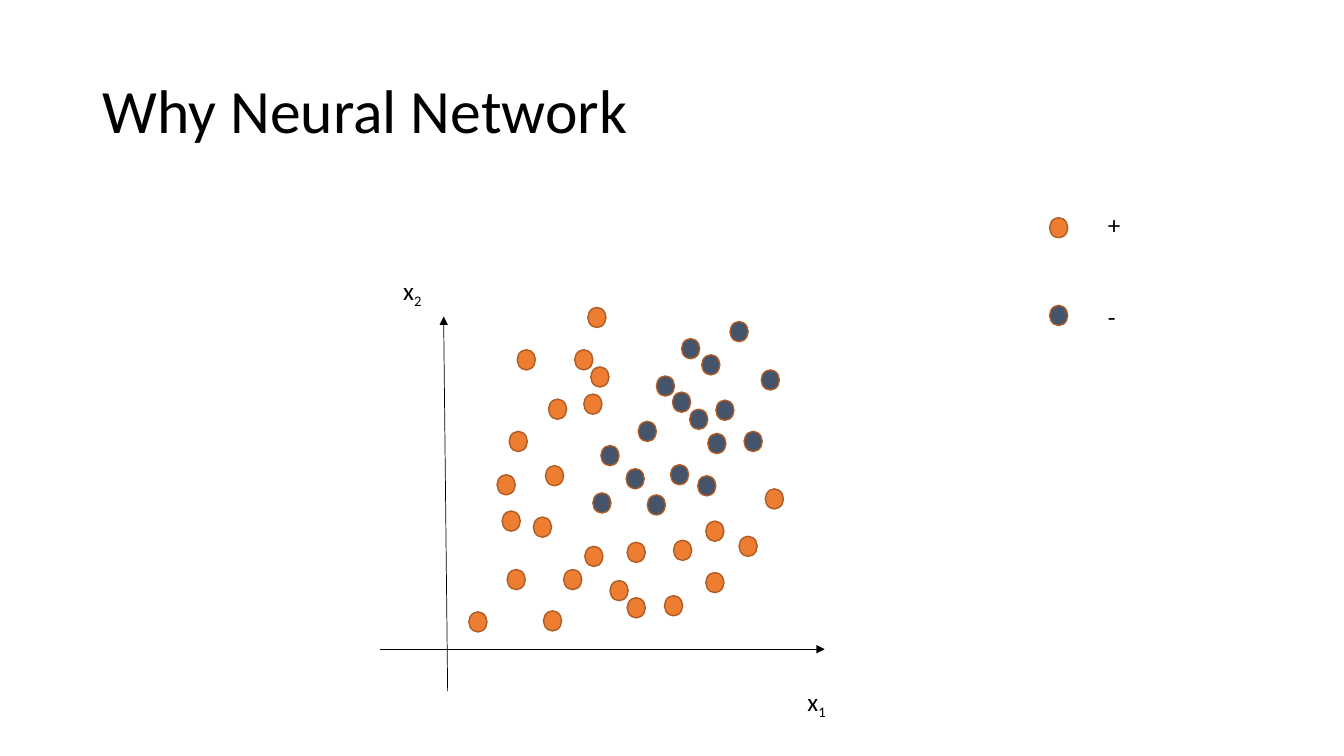
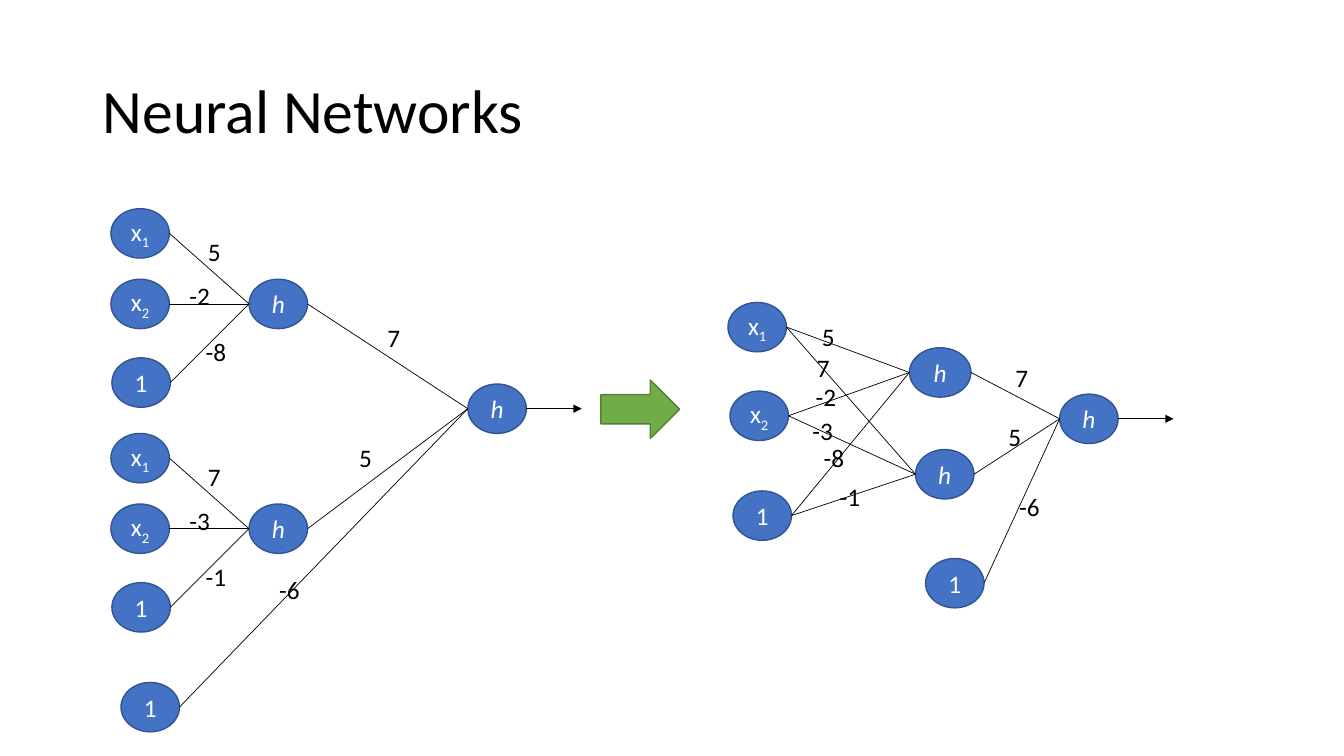
"""Build two slides on why neural networks are needed and how they are wired."""
from lxml.etree import SubElement
from pptx import Presentation
from pptx.dml.color import RGBColor
from pptx.enum.shapes import MSO_CONNECTOR, MSO_SHAPE
from pptx.enum.text import MSO_ANCHOR, MSO_AUTO_SIZE, PP_ALIGN
from pptx.oxml.ns import qn
from pptx.util import Inches, Pt

BLACK = RGBColor(0x00, 0x00, 0x00)
WHITE = RGBColor(0xFF, 0xFF, 0xFF)
ORANGE = RGBColor(0xED, 0x7D, 0x31)
RUST = RGBColor(0xAF, 0x5C, 0x24)
SLATE = RGBColor(0x44, 0x54, 0x6A)
BLUE = RGBColor(0x44, 0x72, 0xC4)
NAVY = RGBColor(0x32, 0x54, 0x91)
GREEN = RGBColor(0x70, 0xAD, 0x47)
FOREST = RGBColor(0x53, 0x80, 0x35)

TITLE = {"name": "Calibri", "size": Pt(44)}
BODY = {"name": "Calibri", "size": Pt(18)}

DOT_W, DOT_H = 0.18, 0.2
POSITIVE = [
    (5.83, 3.05), (5.13, 3.47), (5.79, 3.91), (5.44, 3.96), (5.7, 3.47),
    (5.05, 4.28), (5.41, 4.62), (4.98, 5.07), (4.93, 4.71), (5.86, 3.64),
    (5.29, 5.13), (5.03, 5.65), (5.8, 5.42), (6.22, 5.38), (6.05, 5.76),
    (6.68, 5.36), (6.59, 5.91), (7, 5.17), (7, 5.68), (7.33, 5.32),
    (7.59, 4.85), (5.59, 5.65), (5.39, 6.06), (4.65, 6.07), (6.22, 5.93),
]
NEGATIVE = [
    (6.51, 3.73), (6.76, 3.36), (6.33, 4.18), (6.21, 4.65), (6.65, 4.61),
    (5.96, 4.42), (5.88, 4.89), (6.42, 4.91), (6.92, 4.72), (6.67, 3.89),
    (7.02, 4.3), (7.1, 3.97), (6.96, 3.52), (7.55, 3.67), (7.24, 3.19),
    (7.38, 4.28), (6.84, 4.06),
]
CLASSES = [(ORANGE, POSITIVE, (10.41, 2.16)), (SLATE, NEGATIVE, (10.41, 3.03))]
AXES = [((3.77, 6.44), (8.18, 6.44)), ((4.44, 6.86), (4.4, 3.14))]
AXIS_NAMES = [("x1", 7.91, 6.76), ("x2", 3.9, 2.68)]

NODE_W, NODE_H, OUTPUT_LEN = 0.58, 0.49, 0.55
SUBNET_STEP = 2.23
SUBNET_NODES = [("x1", 1.1, 2.07), ("x2", 1.1, 2.77), ("1", 1.11, 3.55), ("h", 2.47, 2.77)]
SUBNET_LABELS = [(1.98, 2.3, 0.18), (1.78, 2.73, 0.42), (1.94, 3.29, 0.42)]
SUBNET_WEIGHTS = [("5", "-2", "-8"), ("7", "-3", "-1")]

SEPARATE_NODES = {"bias": ("1", 1.2, 6.77), "out": ("h", 4.64, 3.81)}
SEPARATE_EDGES = [
    ("h0", "out", "7", 3.76, 3.15, 0.18),
    ("h1", "out", "5", 3.48, 4.34, 0.18),
    ("bias", "out", "-6", 2.67, 5.65, 0.58),
]
MERGED_NODES = {
    "x1": ("x1", 7.22, 3), "x2": ("x2", 7.24, 3.88), "one": ("1", 7.27, 4.87),
    "h0": ("h", 9.02, 3.45, 0.61), "h1": ("h", 9.08, 4.46),
    "bias": ("1", 9.18, 5.54), "out": ("h", 10.51, 3.91),
}
MERGED_EDGES = [
    ("x1", "h0", "5", 8.07, 3.14, 0.18),
    ("x2", "h0", "-2", 7.99, 3.73, 0.42),
    ("one", "h0", "-8", 8.07, 4.34, 0.42),
    ("x1", "h1", "7", 8.02, 3.45, 0.18),
    ("x2", "h1", "-3", 7.96, 4.07, 0.42),
    ("one", "h1", "-1", 8.23, 4.73, 0.42),
    ("h0", "out", "7", 9.99, 3.55, 0.18),
    ("h1", "out", "5", 9.92, 4.13, 0.18),
    ("bias", "out", "-6", 10.01, 4.83, 0.58),
]


def add_run(p, text, color, fmt):
    r = p.add_run()
    r.text = text
    for name, value in fmt.items():
        setattr(r.font, name, value)
    r.font.color.rgb = color
    return r


def write(p, text, color):
    """Write a symbol, with the digit of an x as a subscript."""
    add_run(p, text[0] if text[0] == "x" else text, color, {**BODY, "italic": text == "h"})
    if text[0] == "x":
        add_run(p, text[1:], color, BODY)._r.get_or_add_rPr().set("baseline", "-25000")


def add_box(s, x, y, w, h):
    tf = s.shapes.add_textbox(Inches(x), Inches(y), Inches(w), Inches(h)).text_frame
    tf.word_wrap = True
    return tf


def add_label(s, text, x, y, w):
    tf = add_box(s, x, y, w, 0.4)
    tf.auto_size = MSO_AUTO_SIZE.SHAPE_TO_FIT_TEXT
    write(tf.paragraphs[0], text, BLACK)


def add_shape(s, kind, x, y, w, h, fill, line):
    sp = s.shapes.add_shape(kind, Inches(x), Inches(y), Inches(w), Inches(h))
    sp.shadow.inherit = False
    sp.fill.solid()
    sp.fill.fore_color.rgb = fill
    sp.line.color.rgb = line
    sp.line.width = Pt(1)
    return sp


def add_line(s, start, end, arrow=False):
    points = [Inches(v) for v in (*start, *end)]
    c = s.shapes.add_connector(MSO_CONNECTOR.STRAIGHT, *points)
    c.line.color.rgb = BLACK
    c.line.width = Pt(0.5)
    if arrow:
        SubElement(c.line._get_or_add_ln(), qn("a:tailEnd"), type="triangle")
    SubElement(c._element.spPr, qn("a:effectLst"))


def add_node(s, text, x, y, w=NODE_W):
    """Draw a neuron and return the middles of its left and right sides."""
    tf = add_shape(s, MSO_SHAPE.OVAL, x, y, w, NODE_H, BLUE, NAVY).text_frame
    tf.margin_left = tf.margin_right = 0
    tf.vertical_anchor = MSO_ANCHOR.MIDDLE
    p = tf.paragraphs[0]
    p.alignment = PP_ALIGN.CENTER
    write(p, text, WHITE)
    mid = y + NODE_H / 2
    return (x, mid), (x + w, mid)


def add_network(s, nodes, edges):
    ports = {key: add_node(s, *node) for key, node in nodes.items()}
    for source, target, weight, x, y, w in edges:
        add_line(s, ports[source][1], ports[target][0])
        add_label(s, weight, x, y, w)
    x, y = ports["out"][1]
    add_line(s, (x, y), (x + OUTPUT_LEN, y), arrow=True)


def add_slide(prs, title):
    s = prs.slides.add_slide(prs.slide_layouts[6])
    tf = add_box(s, 0.92, 0.4, 11.5, 1.45)
    tf.vertical_anchor = MSO_ANCHOR.MIDDLE
    p = tf.paragraphs[0]
    p.line_spacing = 0.9
    add_run(p, title, BLACK, TITLE)
    return s


def build_scatter(prs):
    s = add_slide(prs, "Why Neural Network")
    for start, end in AXES:
        add_line(s, start, end, arrow=True)
    for name, x, y in AXIS_NAMES:
        add_label(s, name, x, y, 0.49)
    for color, points, key in CLASSES:
        for x, y in [*points, key]:
            add_shape(s, MSO_SHAPE.OVAL, x, y, DOT_W, DOT_H, color, RUST)
    tf = add_box(s, 10.89, 2.03, 0.25, 1.31)
    write(tf.paragraphs[0], "+", BLACK)
    p = tf.add_paragraph()
    p.space_before = Pt(44)
    write(p, "-", BLACK)


def build_networks(prs):
    s = add_slide(prs, "Neural Networks")
    nodes, edges = dict(SEPARATE_NODES), list(SEPARATE_EDGES)
    for i, weights in enumerate(SUBNET_WEIGHTS):
        dy = i * SUBNET_STEP
        for text, x, y in SUBNET_NODES:
            nodes[f"{text}{i}"] = (text, x, y + dy)
        for (text, _, _), weight, (x, y, w) in zip(SUBNET_NODES, weights, SUBNET_LABELS):
            edges.append((f"{text}{i}", f"h{i}", weight, x, y + dy, w))
    add_network(s, nodes, edges)
    add_shape(s, MSO_SHAPE.RIGHT_ARROW, 5.96, 3.77, 0.78, 0.58, GREEN, FOREST)
    add_network(s, MERGED_NODES, MERGED_EDGES)


def main():
    prs = Presentation()
    prs.slide_width, prs.slide_height = Inches(13.33), Inches(7.5)
    build_scatter(prs)
    build_networks(prs)
    prs.save("out.pptx")


if __name__ == "__main__":
    main()
